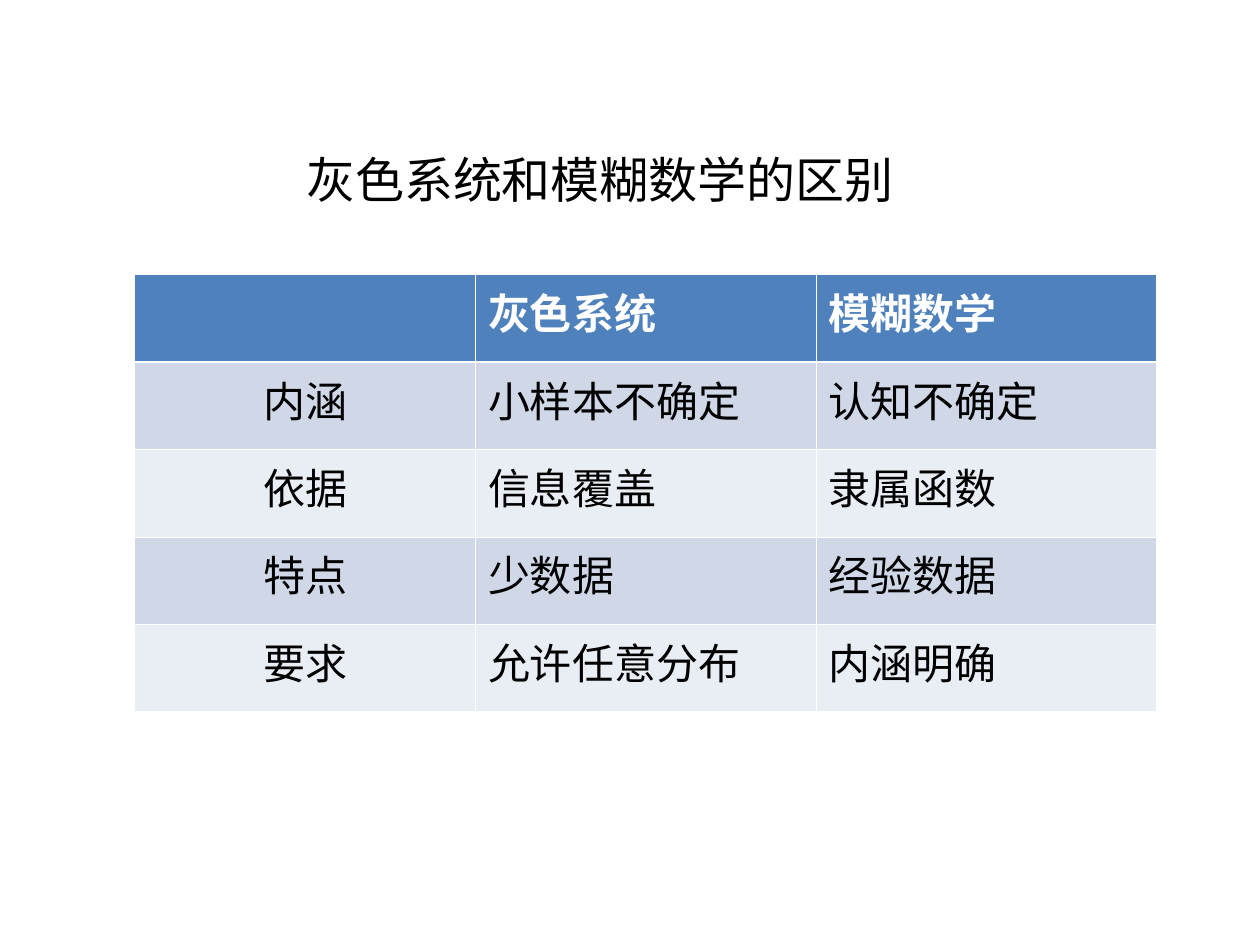
from lxml import etree
from pptx import Presentation
from pptx.dml import color
from pptx.enum import text
from pptx.oxml import ns
from pptx.util import Inches, Pt

CJK_FONT = "Noto Sans CJK SC"
WHITE, BLACK, HEADER_BLUE = "FFFFFF", "000000", "4F81BD"
BANDS = ("D0D8E8", "E9EDF4")
COMPARISON = (
    ("", "灰色系统", "模糊数学"),
    ("内涵", "小样本不确定", "认知不确定"),
    ("依据", "信息覆盖", "隶属函数"),
    ("特点", "少数据", "经验数据"),
    ("要求", "允许任意分布", "内涵明确"),
)


def rgb(value):
    """Return the colour for a hex string."""
    return color.RGBColor.from_string(value)


def write(frame, content, size=24, font="Calibri", ink=BLACK, bold=False,
          align=text.PP_ALIGN.LEFT):
    """Put one formatted paragraph in a text frame."""
    paragraph = frame.paragraphs[0]
    paragraph.alignment = align
    run = paragraph.add_run()
    run.text = content
    run.font.size, run.font.name, run.font.bold = Pt(size), font, bold
    run.font.color.rgb = rgb(ink)
    east_asian = etree.SubElement(run.font._element, ns.qn("a:ea"))
    east_asian.set("typeface", CJK_FONT)


def add_border(cell, side, width, ink=WHITE):
    """Draw a solid line on one side of a cell."""
    line = etree.SubElement(cell._tc.get_or_add_tcPr(), ns.qn(f"a:ln{side}"))
    line.set("w", str(Pt(width)))
    fill = etree.SubElement(line, ns.qn("a:solidFill"))
    etree.SubElement(fill, ns.qn("a:srgbClr")).set("val", ink)


def place_title(slide, left, top, width, height):
    """Move the title placeholder into its box and fill it."""
    title = slide.shapes.title
    title.left, title.top, title.width, title.height = left, top, width, height
    frame = title.text_frame
    frame.word_wrap = True
    frame.vertical_anchor = text.MSO_ANCHOR.MIDDLE
    write(frame, "灰色系统和模糊数学的区别", size=28, font=CJK_FONT,
          align=text.PP_ALIGN.CENTER)


def place_comparison(slide, left, top, width, height):
    """Add the comparison table in its box."""
    table = slide.shapes.add_table(len(COMPARISON), len(COMPARISON[0]),
                                   left, top, width, height).table
    for row, entries in enumerate(COMPARISON):
        header = row == 0
        for column, entry in enumerate(entries):
            cell = table.cell(row, column)
            for side in "LRTB":
                heavy = (row, side) in ((0, "B"), (1, "T"))
                add_border(cell, side, 1.47 if heavy else 0.45)
            cell.fill.solid()
            cell.fill.fore_color.rgb = rgb(
                HEADER_BLUE if header else BANDS[(row - 1) % 2])
            if entry:
                centred = column == 0
                write(cell.text_frame, entry, bold=header,
                      ink=WHITE if header else BLACK,
                      align=text.PP_ALIGN.CENTER if centred
                      else text.PP_ALIGN.LEFT)


def main():
    """Build the slide and save it."""
    deck = Presentation()
    deck.slide_width, deck.slide_height = Inches(10), Inches(7.5)
    slide = deck.slides.add_slide(deck.slide_layouts[5])
    place_title(slide, Inches(2.24), Inches(0.91), Inches(5.04), Inches(1.02))
    place_comparison(slide, Inches(1.07), Inches(2.18), Inches(8.11),
                     Inches(3.47))
    deck.save("out.pptx")


if __name__ == "__main__":
    main()
